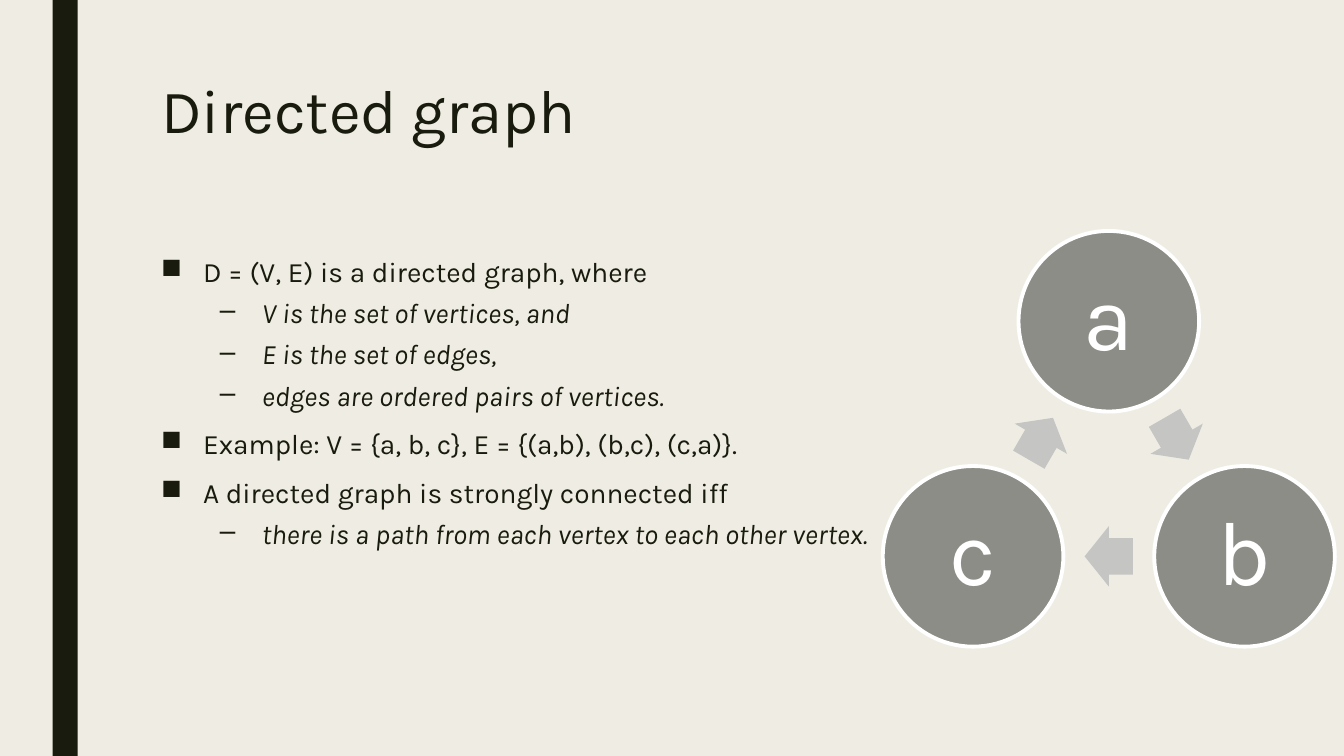
import math
from dataclasses import dataclass

import lxml.etree
import pptx
import pptx.dml.color
import pptx.enum.shapes
import pptx.enum.text
import pptx.oxml.ns
import pptx.util

CELL = pptx.util.Inches(1 / 12)
COLUMNS, ROWS = 160, 90
FONT = "Karla"
INK, PAPER, WHITE = "191B0E", "EFEDE3", "FFFFFF"
VERTEX_FILL, EDGE_FILL = "8C8D86", "C5C5C3"

CENTER_COLUMN, CENTER_ROW, RING_RADIUS = 132, 56.9, 18.66
VERTEX_SIZE = 21.5
EDGE_LENGTH, EDGE_WIDTH = 5.76, 7.2


@dataclass(frozen=True)
class Level:
    bullet: str
    indent: float
    space_before: float
    italic: bool


@dataclass(frozen=True)
class Point:
    text: str
    level: int = 0


LEVELS = (Level("■", 5, 10, False), Level("–", 12, 5, True))
HANGING = 5
POINTS = (
    Point("D = (V, E) is a directed graph, where"),
    Point("V is the set of vertices, and", 1),
    Point("E is the set of edges,", 1),
    Point("edges are ordered pairs of vertices.", 1),
    Point("Example: V = {a, b, c}, E = {(a,b), (b,c), (c,a)}."),
    Point("A directed graph is strongly connected iff"),
    Point("there is a path from each vertex to each other vertex.", 1),
)
VERTICES = "abc"


def cells(count: float) -> int:
    return round(count * CELL)


def color(value: str) -> pptx.dml.color.RGBColor:
    return pptx.dml.color.RGBColor.from_string(value)


def write(paragraph, text: str, *, size: float, fill: str = INK, italic: bool = False,
          align=pptx.enum.text.PP_ALIGN.LEFT, spacing: float = 0.9,
          before: float = 0, after: float = 0) -> None:
    run = paragraph.add_run()
    run.text = text
    run.font.name = FONT
    run.font.size = pptx.util.Pt(size)
    run.font.italic = italic
    run.font.color.rgb = color(fill)
    paragraph.alignment = align
    paragraph.line_spacing = spacing
    paragraph.space_before = pptx.util.Pt(before)
    paragraph.space_after = pptx.util.Pt(after)


def add_bullet(paragraph, level: Level) -> None:
    properties = paragraph._p.get_or_add_pPr()
    properties.set("marL", str(cells(level.indent)))
    properties.set("indent", str(-cells(HANGING)))
    bullet = lxml.etree.SubElement(properties, pptx.oxml.ns.qn("a:buChar"))
    bullet.set("char", level.bullet)


def add_plain_shape(slide, kind, left: float, top: float, width: float, height: float, fill: str):
    shape = slide.shapes.add_shape(kind, *map(cells, (left, top, width, height)))
    shape.shadow.inherit = False
    shape.fill.solid()
    shape.fill.fore_color.rgb = color(fill)
    shape.line.fill.background()
    return shape


def add_centered(slide, kind, angle: float, distance: float, width: float, height: float, fill: str):
    column = CENTER_COLUMN + distance * math.cos(math.radians(angle))
    row = CENTER_ROW + distance * math.sin(math.radians(angle))
    return add_plain_shape(slide, kind, column - width / 2, row - height / 2, width, height, fill)


def add_vertex(slide, name: str, angle: float) -> None:
    vertex = add_centered(slide, pptx.enum.shapes.MSO_SHAPE.OVAL, angle, RING_RADIUS,
                          VERTEX_SIZE, VERTEX_SIZE, VERTEX_FILL)
    vertex.line.color.rgb = color(WHITE)
    vertex.line.width = pptx.util.Pt(2.75)
    frame = vertex.text_frame
    frame.vertical_anchor = pptx.enum.text.MSO_ANCHOR.MIDDLE
    write(frame.paragraphs[0], name, size=65, fill=WHITE, align=pptx.enum.text.PP_ALIGN.CENTER)


def add_edge(slide, angle: float) -> None:
    edge = add_centered(slide, pptx.enum.shapes.MSO_SHAPE.RIGHT_ARROW, angle, RING_RADIUS / 2,
                        EDGE_LENGTH, EDGE_WIDTH, EDGE_FILL)
    edge.adjustments[0], edge.adjustments[1] = 0.6, 0.5
    edge.rotation = (angle + 90) % 360


def add_title(slide, text: str) -> None:
    title = slide.shapes.title
    title.left, title.top, title.width, title.height = map(cells, (18, 9, 126, 19.5))
    frame = title.text_frame
    frame.auto_size = pptx.enum.text.MSO_AUTO_SIZE.NONE
    frame.vertical_anchor = pptx.enum.text.MSO_ANCHOR.TOP
    write(frame.paragraphs[0], text, size=44, spacing=0.89)


def add_points(slide) -> None:
    frame = slide.shapes.add_textbox(*map(cells, (18, 30, 126, 47))).text_frame
    frame.word_wrap = True
    for index, point in enumerate(POINTS):
        paragraph = frame.add_paragraph() if index else frame.paragraphs[0]
        level = LEVELS[point.level]
        paragraph.level = point.level
        write(paragraph, point.text, size=20, italic=level.italic, spacing=0.94,
              before=level.space_before, after=2)
        add_bullet(paragraph, level)


def add_graph(slide) -> None:
    step = 360 / len(VERTICES)
    for index, name in enumerate(VERTICES):
        angle = index * step - 90
        add_vertex(slide, name, angle)
        add_edge(slide, angle + step / 2)


presentation = pptx.Presentation()
presentation.slide_width = cells(COLUMNS)
presentation.slide_height = cells(ROWS)
slide = presentation.slides.add_slide(presentation.slide_layouts.get_by_name("Title Only"))
slide.background.fill.solid()
slide.background.fill.fore_color.rgb = color(PAPER)
add_plain_shape(slide, pptx.enum.shapes.MSO_SHAPE.RECTANGLE, 6.25, 0, 3, ROWS, INK)
add_title(slide, "Directed graph")
add_points(slide)
add_graph(slide)
presentation.save("out.pptx")
